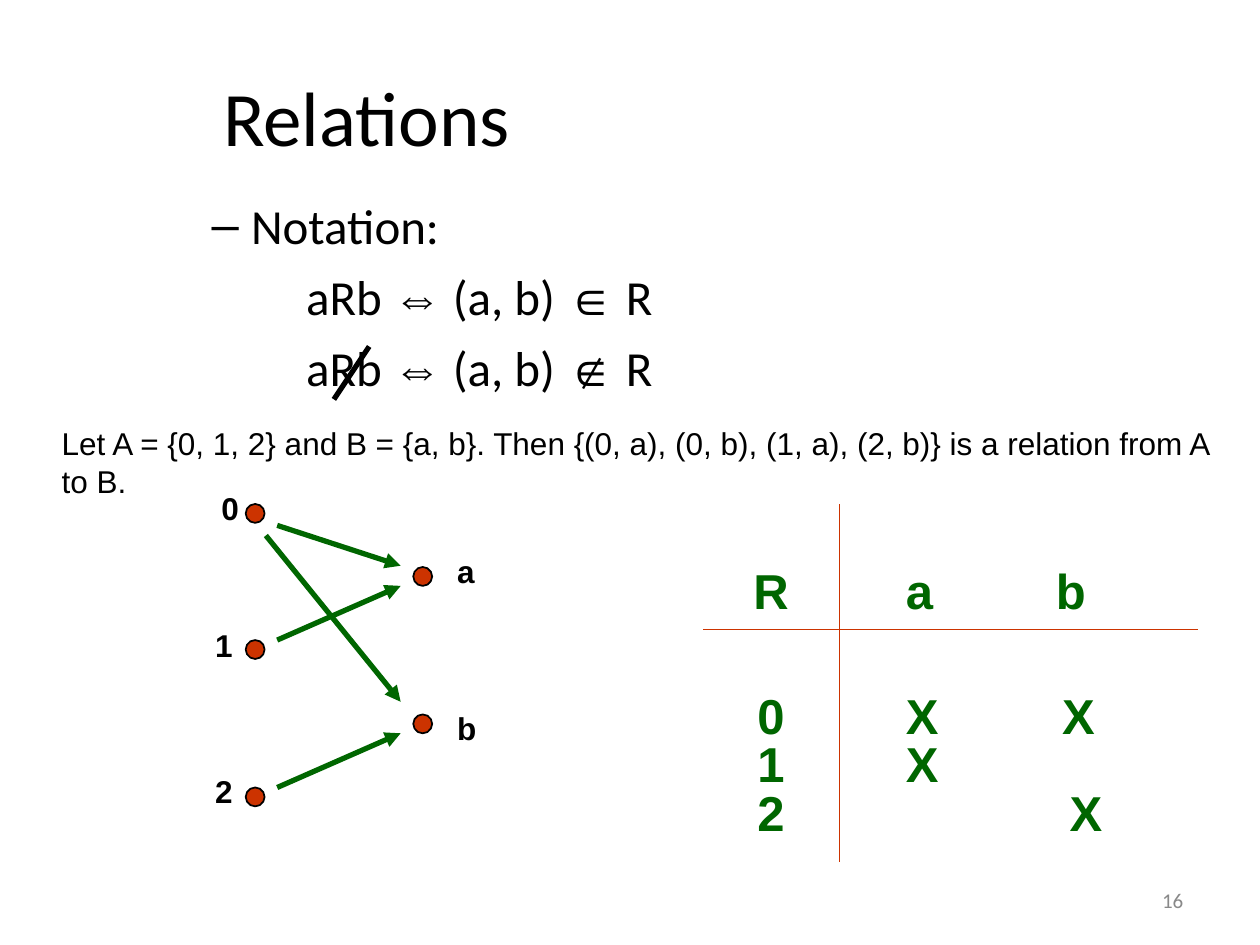
from lxml.etree import SubElement
from pptx import Presentation
from pptx.dml.color import RGBColor
from pptx.enum.shapes import MSO_CONNECTOR, MSO_SHAPE
from pptx.enum.text import MSO_ANCHOR, MSO_AUTO_SIZE, PP_ALIGN
from pptx.oxml.ns import qn
from pptx.util import Pt

PX = 9144  # 100 px to the inch
HEX = {"ink": "000000", "dot": "CC3300", "green": "006600", "grey": "898989"}
PLAIN = "{2D5ABB26-0587-4C30-8999-92F81FD0307C}"  # no style, no grid


def tone(name):
    return RGBColor.from_string(HEX[name])


def place(shape, box):
    shape.left, shape.top, shape.width, shape.height = (n * PX for n in box)


def add_run(para, text, size, font="Arial", color="ink", bold=False):
    run = para.add_run()
    run.text = text
    run.font.size, run.font.name, run.font.bold = Pt(size), font, bold
    run.font.color.rgb = tone(color)


def add_text(shapes, box, text, size, wrap=True, align=PP_ALIGN.LEFT, **look):
    item = shapes.add_textbox(*(n * PX for n in box))
    item.text_frame.word_wrap = wrap
    para = item.text_frame.paragraphs[0]
    para.alignment = align
    add_run(para, text, size, **look)
    return item


def add_line(shapes, start, end, color, head=False):
    line = shapes.add_connector(
        MSO_CONNECTOR.STRAIGHT, *(n * PX for n in (*start, *end)))
    line.line.color.rgb = tone(color)
    line.line.width = Pt(3)
    if head:
        SubElement(line.line._get_or_add_ln(), qn("a:tailEnd"), type="triangle")
    SubElement(line._element.spPr, qn("a:effectLst"))


def add_title(slide, box):
    title = slide.shapes.title
    place(title, box)
    title.text_frame.vertical_anchor = MSO_ANCHOR.MIDDLE
    para = title.text_frame.paragraphs[0]
    para.alignment = PP_ALIGN.LEFT
    add_run(para, "Relations", 44, "Calibri")


def add_notation(slide, box):
    x, y = box[:2]
    body = slide.placeholders[1]
    place(body, box)
    frame = body.text_frame
    frame.auto_size = MSO_AUTO_SIZE.NONE
    para = frame.paragraphs[0]
    para.level = 1
    para.space_before = Pt(7)
    add_run(para, "Notation:", 28, "Calibri")
    for sign in "∈∉":
        para = frame.add_paragraph()
        para.level = 2
        para.space_before = Pt(7)
        props = para._p.get_or_add_pPr()
        props.set("marL", str(125 * PX))
        props.set("indent", "0")
        SubElement(props, qn("a:buNone"))
        for text, font in (("aRb ", "Calibri"), ("⇔", "Arial"),
                           (" (a, b) ", "Calibri"), (sign, "Arial"),
                           (" R", "Calibri")):
            add_run(para, text, 28, font)
    # Stroke through the negated relation
    add_line(slide.shapes, (x + 185, y + 125), (x + 157, y + 167), "ink")


def set_edges(cell, sides):
    props = cell._tc.get_or_add_tcPr()
    for at, side in enumerate(sides):
        edge = SubElement(props, qn(f"a:ln{side}"), w="762")
        fill = SubElement(edge, qn("a:solidFill"))
        SubElement(fill, qn("a:srgbClr"), val=HEX["dot"])
        props.remove(edge)
        props.insert(at, edge)  # edges come before the fill


def fill_cell(cell, lines, sides, stops=()):
    cell.margin_top = 61 * PX
    cell.fill.background()
    set_edges(cell, sides)
    frame = cell.text_frame
    for at, text in enumerate(lines):
        para = frame.add_paragraph() if at else frame.paragraphs[0]
        para.alignment = PP_ALIGN.LEFT if stops else PP_ALIGN.CENTER
        para.line_spacing = 0.66
        para.space_before = Pt(7)
        if stops:
            tabs = SubElement(para._p.get_or_add_pPr(), qn("a:tabLst"))
            for stop in (43, stops[at]):
                SubElement(tabs, qn("a:tab"), pos=str(stop * PX), algn="l")
        add_run(para, text, 28, color="green", bold=True)


def add_matrix(slide, box):
    frame = slide.shapes.add_table(2, 2, *(n * PX for n in box))
    table = frame.table
    table.first_row = table.horz_banding = False
    table._tbl.tblPr.find(qn("a:tableStyleId")).text = PLAIN
    for col, width in zip(table.columns, (108, box[2] - 108)):
        col.width = width * PX
    for row, height in zip(table.rows, (99, box[3] - 99)):
        row.height = height * PX
    fill_cell(table.cell(0, 0), ["R"], "RB")
    fill_cell(table.cell(0, 1), ["\ta\tb"], "LB", [162])
    fill_cell(table.cell(1, 0), "012", "RT")
    fill_cell(table.cell(1, 1), ["\tX\tX", "\tX", "\t\tX"], "LT",
              [167, 167, 173])


def add_graph(slide, box):
    x, y = box[:2]
    shapes = slide.shapes.add_group_shape().shapes
    # Nodes: name, dot corner, label corner
    nodes = (("0", (34, 17), (5, 0)), ("1", (34, 125), (0, 109)),
             ("2", (34, 242), (0, 225)), ("a", (167, 67), (192, 50)),
             ("b", (167, 184), (192, 175)))
    for name, (left, top), (tx, ty) in nodes:
        dot = shapes.add_shape(MSO_SHAPE.OVAL, (x + left) * PX,
                               (y + top) * PX, 15 * PX, 15 * PX)
        dot.shadow.inherit = False
        dot.fill.solid()
        dot.fill.fore_color.rgb = tone("dot")
        dot.line.color.rgb = tone("ink")
        dot.line.width = Pt(1)
        add_text(shapes, (x + tx, y + ty, 33, 40), name, 18, False, bold=True)
    # Arrows: 0-a, 1-a, 0-b, 2-b
    for (x1, y1), y2 in (((59, 34), 66), ((59, 125), 82),
                         ((50, 42), 174), ((59, 242), 199)):
        add_line(shapes, (x + x1, y + y1), (x + 157, y + y2), "green", True)


def main():
    deck = Presentation()
    deck.slide_width, deck.slide_height = 1000 * PX, 750 * PX
    slide = deck.slides.add_slide(deck.slide_layouts[1])
    add_title(slide, (167, 50, 825, 83))
    add_notation(slide, (108, 150, 892, 550))
    add_matrix(slide, (558, 400, 393, 284))
    add_graph(slide, (161, 383, 227, 265))
    # Example and page number
    add_text(slide.shapes, (39, 332, 945, 70),
             "Let A = {0, 1, 2} and B = {a, b}. Then {(0, a), (0, b), "
             "(1, a), (2, b)} is a relation from A to B.", 18)
    page = add_text(slide.shapes, (717, 695, 232, 39), "16", 12,
                    align=PP_ALIGN.RIGHT, font="Calibri", color="grey")
    page.text_frame.vertical_anchor = MSO_ANCHOR.MIDDLE
    deck.save("out.pptx")


if __name__ == "__main__":
    main()
